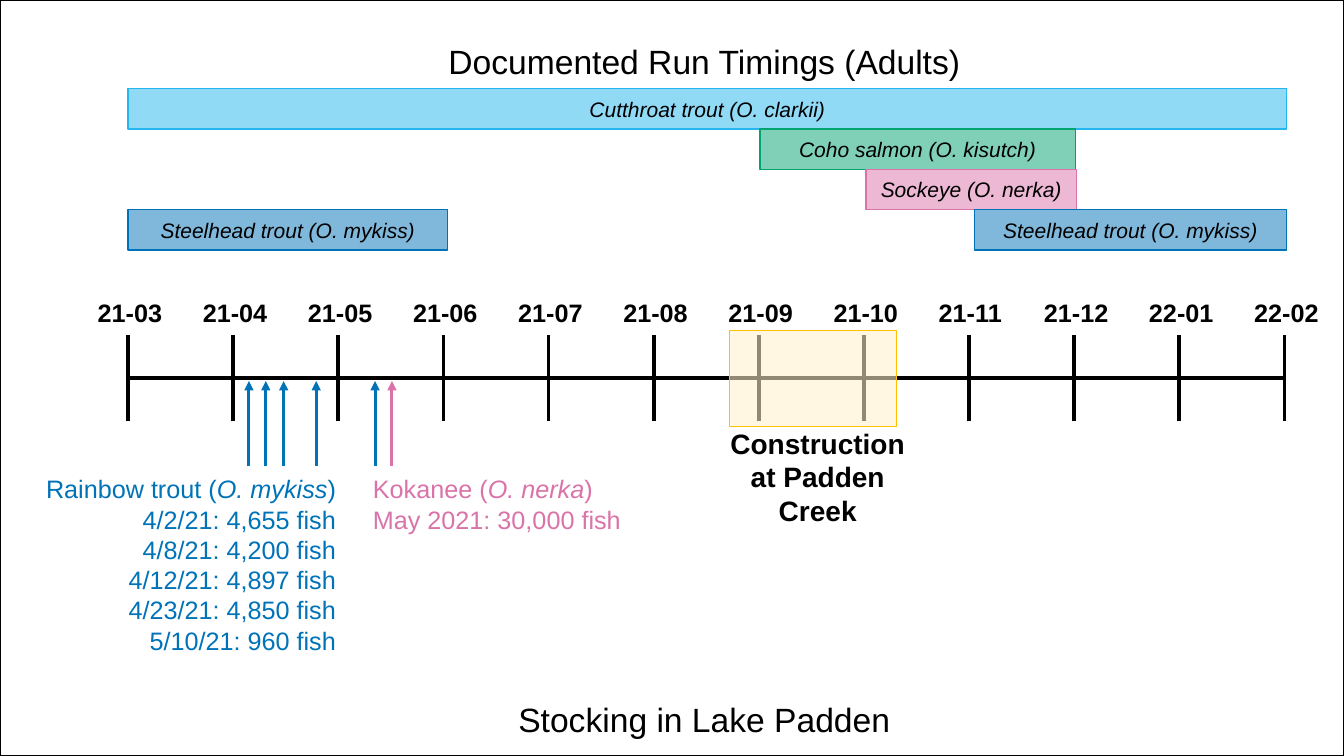
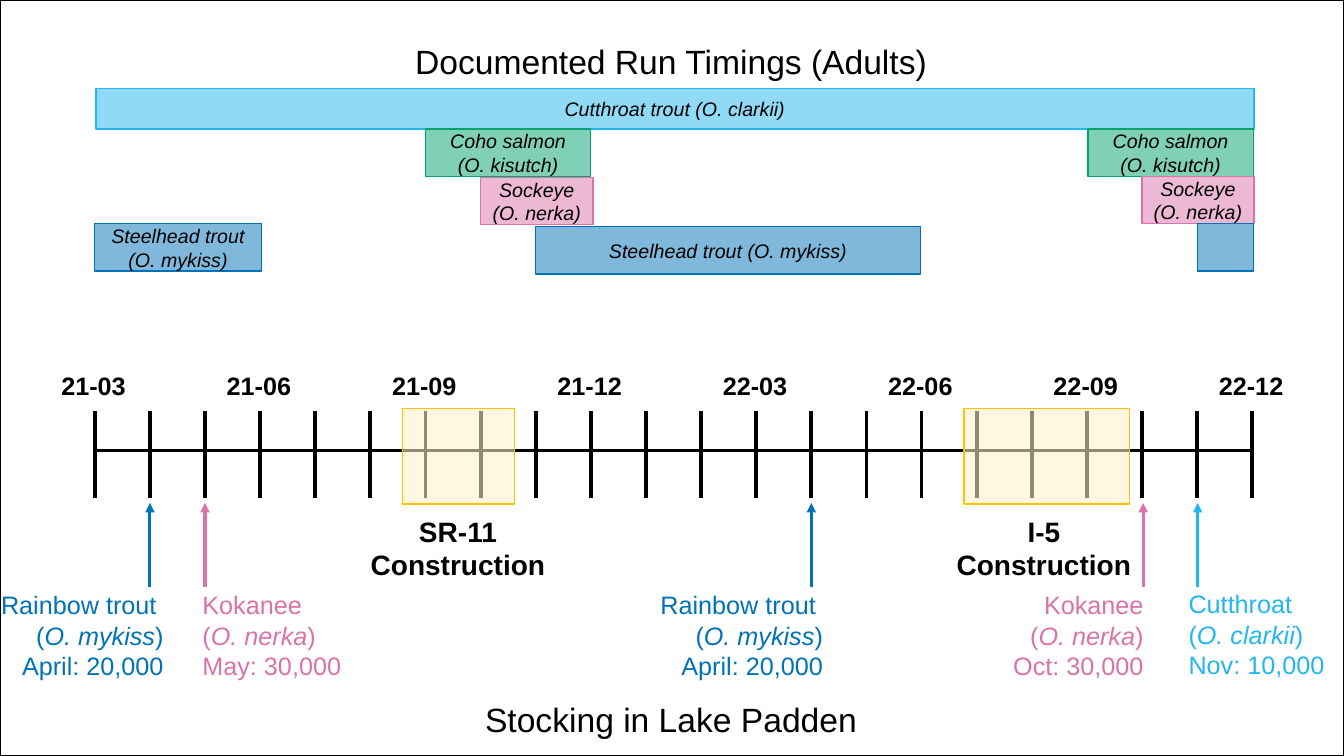
from dataclasses import dataclass

from lxml import etree
from pptx import Presentation
from pptx.dml.color import RGBColor
from pptx.enum.shapes import MSO_CONNECTOR, MSO_SHAPE
from pptx.enum.text import MSO_ANCHOR, MSO_AUTO_SIZE, PP_ALIGN
from pptx.oxml.ns import qn
from pptx.util import Inches, Pt

LEFT, CENTER, RIGHT = PP_ALIGN.LEFT, PP_ALIGN.CENTER, PP_ALIGN.RIGHT
MIDDLE = MSO_ANCHOR.MIDDLE
RECTANGLE = MSO_SHAPE.RECTANGLE
STRAIGHT = MSO_CONNECTOR.STRAIGHT
GROW = MSO_AUTO_SIZE.SHAPE_TO_FIT_TEXT


@dataclass(frozen=True)
class Theme:
    font: str = "Arial"
    ink: str = "000000"
    cutthroat: str = "23B6EF"
    coho: str = "00A270"
    nerka: str = "DA73A9"
    mykiss: str = "0073B8"
    zone_fill: str = "FFF2CC"
    zone_line: str = "FFC000"
    heading: int = 24
    zone_label: int = 20
    body: int = 18
    bar_alpha: int = 50
    zone_alpha: int = 57


THEME = Theme()
WIDTH, HEIGHT = 13.33, 7.5

# Content: horizontal places are months counted from the first tick
HEADINGS = [("Documented Run Timings (Adults)", 0.36), ("Stocking in Lake Padden", 6.88)]
CUTTHROAT = ("Cutthroat trout (O. clarkii)", THEME.cutthroat)
COHO = ("Coho salmon (O. kisutch)", THEME.coho)
SOCKEYE = ("Sockeye (O. nerka)", THEME.nerka)
STEELHEAD = ("Steelhead trout (O. mykiss)", THEME.mykiss)
STEELHEAD_UNNAMED = ("", THEME.mykiss)
RAINBOW_2022 = ["Rainbow trout ", "(*O. mykiss*)", "April: 20,000"]

TIMELINES = [
    {
        "left": 1.27, "right": 12.74, "months": 11, "label_every": 1, "label_shift": 0.4,
        "axis": 3.75, "tick_top": 3.32, "label_top": 2.9, "zone_top": 3.28,
        "zone_label_top": 4.18, "arrow_tip": 3.78, "arrow_end": 4.62,
        "lane_height": 0.4, "bar_size": 15,
        # species, lane, first month, last month
        "bars": [
            (CUTTHROAT, 0, 0, 11.02), (COHO, 1, 6.01, 9.01), (SOCKEYE, 2, 7.02, 9.02),
            (STEELHEAD, 3, 8.05, 11.02), (STEELHEAD, 3, 0, 3.04),
        ],
        # first month, last month, label centre, lines
        "zones": [(5.72, 7.31, 6.56, ["Construction", "at Padden Creek"])],
        "arrows": [
            (THEME.mykiss, [1.15, 1.31, 1.48, 1.79, 2.35]), (THEME.nerka, [2.51]),
        ],
        # left, top, width, alignment, colour, lines (italics between asterisks)
        "notes": [
            (0.15, 4.65, 3.28, RIGHT, THEME.mykiss, [
                "Rainbow trout (*O. mykiss*)", "4/2/21: 4,655 fish", "4/8/21: 4,200 fish",
                "4/12/21: 4,897 fish", "4/23/21: 4,850 fish", "5/10/21: 960 fish"]),
            (3.6, 4.65, 6.8, LEFT, THEME.nerka,
             ["Kokanee (*O. nerka*)", "May 2021: 30,000 fish"]),
        ],
    },
    {
        "left": 0.94, "right": 12.42, "months": 21, "label_every": 3, "label_shift": 0.43,
        "axis": 4.47, "tick_top": 4.08, "label_top": 3.62, "zone_top": 4.05,
        "zone_label_top": 5.05, "arrow_tip": 4.99, "arrow_end": 5.82,
        "lane_height": 0.47, "bar_size": 14,
        "bars": [
            (CUTTHROAT, 0, 0.02, 21.03), (COHO, 1, 6, 9), (SOCKEYE, 2.02, 7, 9.04),
            (STEELHEAD, 3, 0, 3.02), (COHO, 1, 18.02, 21.02), (SOCKEYE, 2, 19, 21.03),
            (STEELHEAD, 3.06, 8, 14.98), (STEELHEAD_UNNAMED, 3, 20.01, 21.02),
        ],
        "zones": [
            (5.58, 7.61, 6.59, ["SR-11", "Construction"]),
            (15.77, 18.77, 17.22, ["I-5", "Construction"]),
        ],
        "arrows": [
            (THEME.mykiss, [1, 13]), (THEME.nerka, [2, 19.02]), (THEME.cutthroat, [20.01]),
        ],
        "notes": [
            (-1.56, 5.8, 3.28, RIGHT, THEME.mykiss, RAINBOW_2022),
            (1.91, 5.8, 2.07, LEFT, THEME.nerka, ["Kokanee", "(*O. nerka*)", "May: 30,000"]),
            (4.98, 5.8, 3.28, RIGHT, THEME.mykiss, RAINBOW_2022),
            (9.37, 5.8, 2.07, RIGHT, THEME.nerka, ["Kokanee", "(*O. nerka*)", "Oct: 30,000"]),
            (11.69, 5.79, 2.07, LEFT, THEME.cutthroat,
             ["Cutthroat", "(*O. clarkii*)", "Nov: 10,000"]),
        ],
    },
]

# Shared sizes
FIRST_LANE_TOP, FIRST_LANE_HEIGHT = 0.88, 0.4
TICK_HEIGHT, ZONE_HEIGHT = 0.86, 0.95
LABEL_WIDTH, ZONE_LABEL_WIDTH, HEADING_WIDTH = 0.85, 2.21, 11.47
AXIS_WEIGHT, ARROW_WEIGHT = 2.75, 2.25
FIRST_YEAR, FIRST_MONTH = 21, 3


def write(frame, lines, size, color, align=LEFT, bold=False, italic=False):
    """Fill a frame with lines; text between asterisks is italic."""
    for number, line in enumerate(lines):
        para = frame.paragraphs[0] if number == 0 else frame.add_paragraph()
        para.alignment = align
        for part, text in enumerate(line.split("*")):
            if not text:
                continue
            span = para.add_run()
            span.text = text
            span.font.name = THEME.font
            span.font.size = Pt(size)
            span.font.bold = bold
            span.font.italic = italic or part % 2 == 1
            span.font.color.rgb = RGBColor.from_string(color)


def add_text(page, left, top, width, lines, size, color=THEME.ink, wrap=True, **style):
    height = len(lines) * size * 1.2 / 72 + 0.1
    box = page.shapes.add_textbox(Inches(left), Inches(top), Inches(width), Inches(height))
    box.text_frame.word_wrap = wrap
    box.text_frame.auto_size = GROW
    write(box.text_frame, lines, size, color, **style)


def add_box(page, left, top, width, height, line, weight=1, fill=None, alpha=100):
    box = page.shapes.add_shape(
        RECTANGLE, Inches(left), Inches(top), Inches(width), Inches(height))
    box.shadow.inherit = False
    box.line.color.rgb = RGBColor.from_string(line)
    box.line.width = Pt(weight)
    if fill is None:
        box.fill.background()
    else:
        box.fill.solid()
        box.fill.fore_color.rgb = RGBColor.from_string(fill)
        tint = box._element.spPr.find(qn("a:solidFill")).find(qn("a:srgbClr"))
        etree.SubElement(tint, qn("a:alpha"), val=str(alpha * 1000))
    return box


def add_line(page, start, end, color, weight, arrow=False):
    line = page.shapes.add_connector(STRAIGHT, *(Inches(value) for value in start + end))
    line.line.color.rgb = RGBColor.from_string(color)
    line.line.width = Pt(weight)
    properties = line._element.spPr
    if arrow:
        etree.SubElement(properties.find(qn("a:ln")), qn("a:tailEnd"), type="triangle")
    etree.SubElement(properties, qn("a:effectLst"))


def month_name(offset):
    years, month = divmod(FIRST_MONTH - 1 + offset, 12)
    return f"{FIRST_YEAR + years}-{month + 1:02d}"


def draw_axis(page, plan, column):
    add_line(page, (plan["left"], plan["axis"]), (plan["right"], plan["axis"]),
             THEME.ink, AXIS_WEIGHT)
    for month in range(plan["months"] + 1):
        x = column(month)
        add_line(page, (x, plan["tick_top"] + TICK_HEIGHT), (x, plan["tick_top"]),
                 THEME.ink, AXIS_WEIGHT)
        if month % plan["label_every"] == 0:
            add_text(page, x - plan["label_shift"], plan["label_top"], LABEL_WIDTH,
                     [month_name(month)], THEME.body, wrap=False, bold=True)


def draw_zones(page, plan, column):
    for first, last, center, lines in plan["zones"]:
        add_box(page, column(first), plan["zone_top"], column(last) - column(first),
                ZONE_HEIGHT, THEME.zone_line, fill=THEME.zone_fill, alpha=THEME.zone_alpha)
        add_text(page, column(center) - ZONE_LABEL_WIDTH / 2, plan["zone_label_top"],
                 ZONE_LABEL_WIDTH, lines, THEME.zone_label, align=CENTER, bold=True)


def draw_bars(page, plan, column):
    for (name, color), lane, first, last in plan["bars"]:
        top, height = FIRST_LANE_TOP, FIRST_LANE_HEIGHT
        if lane:
            height = plan["lane_height"]
            top += FIRST_LANE_HEIGHT + (lane - 1) * height
        bar = add_box(page, column(first), top, column(last) - column(first), height,
                      color, fill=color, alpha=THEME.bar_alpha)
        bar.text_frame.word_wrap = True
        bar.text_frame.vertical_anchor = MIDDLE
        write(bar.text_frame, [name], plan["bar_size"], THEME.ink, CENTER, italic=True)


def draw_stocking(page, plan, column):
    for color, months in plan["arrows"]:
        for month in months:
            x = column(month)
            add_line(page, (x, plan["arrow_end"]), (x, plan["arrow_tip"]),
                     color, ARROW_WEIGHT, arrow=True)
    for left, top, width, align, color, lines in plan["notes"]:
        add_text(page, left, top, width, lines, THEME.body, color, align=align)


def draw_timeline(page, plan):
    step = (plan["right"] - plan["left"]) / plan["months"]

    def column(month):
        return plan["left"] + month * step

    for draw in (draw_axis, draw_zones, draw_bars, draw_stocking):
        draw(page, plan, column)
    for heading, top in HEADINGS:
        add_text(page, plan["left"] - 0.02, top, HEADING_WIDTH, [heading],
                 THEME.heading, align=CENTER)
    add_box(page, 0, 0, WIDTH, HEIGHT, THEME.ink, weight=1.5)


# Build the deck
deck = Presentation()
deck.slide_width, deck.slide_height = Inches(WIDTH), Inches(HEIGHT)
for timeline in TIMELINES:
    draw_timeline(deck.slides.add_slide(deck.slide_layouts[6]), timeline)
deck.save("out.pptx")
